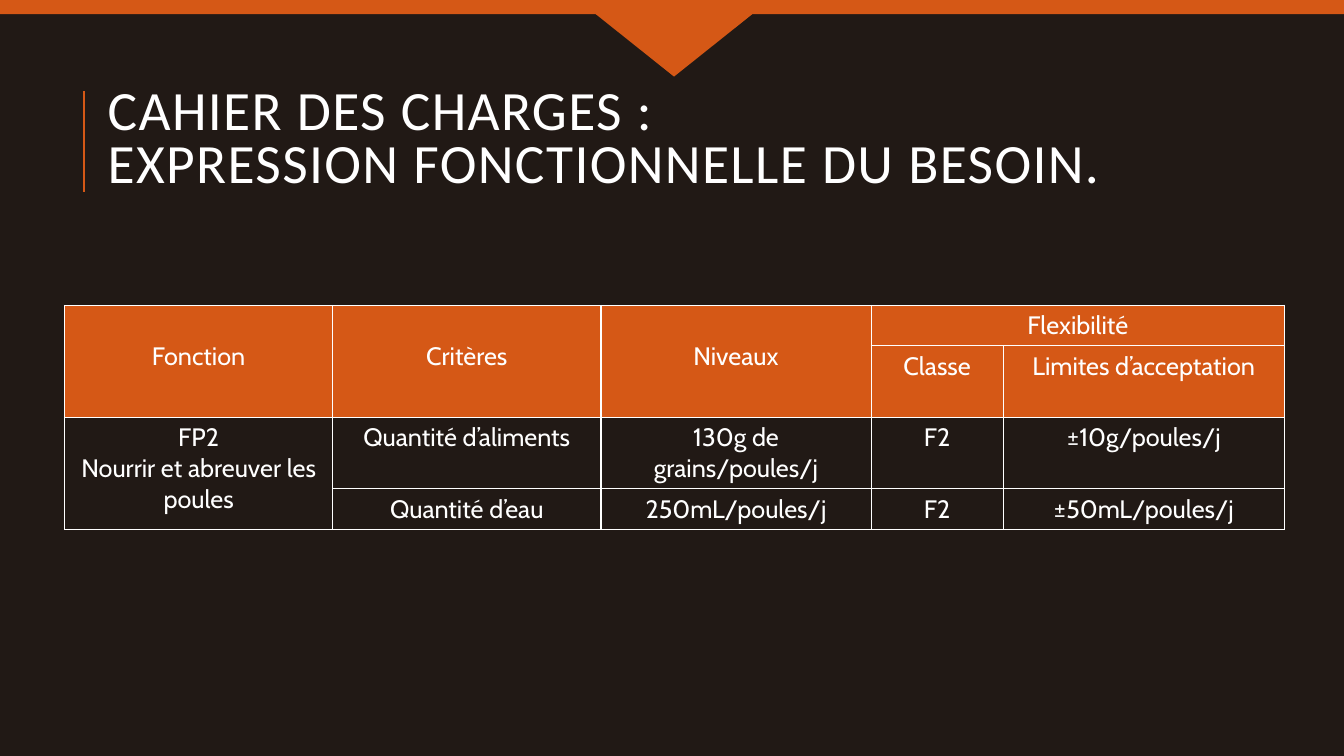
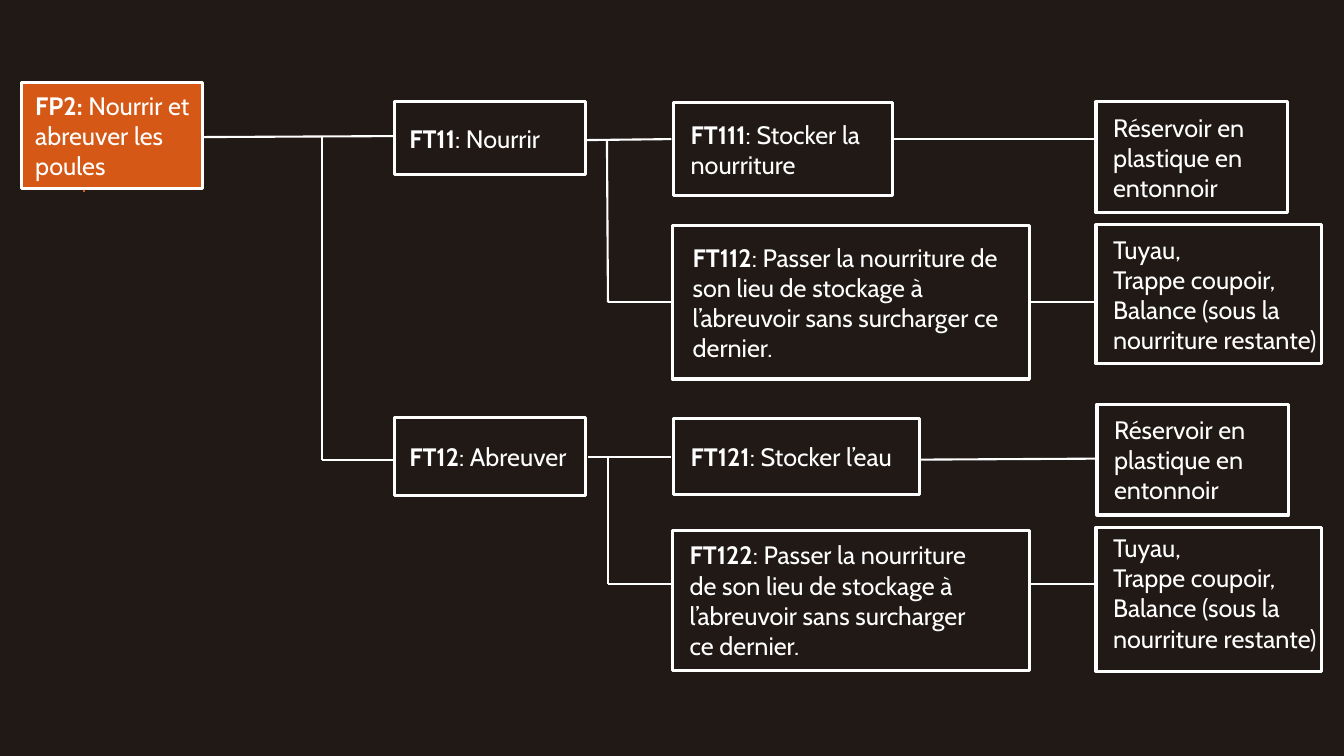
from lxml.etree import SubElement
from pptx import Presentation
from pptx.dml.color import RGBColor
from pptx.enum.shapes import MSO_CONNECTOR, MSO_SHAPE
from pptx.enum.text import MSO_ANCHOR, PP_ALIGN
from pptx.oxml.ns import qn
from pptx.util import Emu, Pt

COLORS = {"bg": "211915", "accent": "D55816", "text": "FFFFFF"}
EMU_PER_PX = 9144


def px(n):
    return Emu(n * EMU_PER_PX)


def rgb(name):
    return RGBColor.from_string(COLORS[name])


class Deck:
    """Holds the presentation, its style and the current slide."""

    def __init__(self, width, height):
        self.prs = Presentation()
        self.prs.slide_width, self.prs.slide_height = px(width), px(height)
        self.width = width
        self.s = None

    def slide(self):
        self.s = self.prs.slides.add_slide(self.prs.slide_layouts[6])
        fill = self.s.background.fill
        fill.solid()
        fill.fore_color.rgb = rgb("bg")
        self.line(83, 190, 83, 90, "accent")

    def style(self, p, size=18, font="Cabin"):
        p.font.size, p.font.name = Pt(size), font
        p.font.color.rgb = rgb("text")

    def paint(self, target, fill):
        if fill:
            target.fill.solid()
            target.fill.fore_color.rgb = rgb(fill)
        else:
            target.fill.background()

    def line(self, x1, y1, x2, y2, color="text"):
        sp = self.s.shapes.add_connector(
            MSO_CONNECTOR.STRAIGHT, px(x1), px(y1), px(x2), px(y2))
        sp.line.color.rgb = rgb(color)
        sp.line.width = Pt(1.5)
        SubElement(sp._element.spPr, qn("a:effectLst"))

    def shape(self, kind, x, y, w, h, fill=None, outline=None):
        sp = self.s.shapes.add_shape(kind, px(x), px(y), px(w), px(h))
        sp.shadow.inherit = False
        self.paint(sp, fill)
        if outline:
            sp.line.color.rgb = rgb(outline)
            sp.line.width = Pt(2.25)
        else:
            sp.line.fill.background()
        return sp

    def band(self):
        sp = self.shape(MSO_SHAPE.ISOSCELES_TRIANGLE, 582, 7, 173, 69, "accent")
        sp.rotation = 180
        self.shape(MSO_SHAPE.RECTANGLE, 0, 0, self.width, 14, "accent")

    def title(self, text):
        sp = self.s.shapes.add_textbox(px(97), px(58), px(1063), px(164))
        tf = sp.text_frame
        tf.word_wrap = True
        tf.vertical_anchor = MSO_ANCHOR.MIDDLE
        p = tf.paragraphs[0]
        p.text = text
        p.line_spacing = 0.8
        self.style(p, 39.6, "Calibri")
        p.font._rPr.set("spc", "100")

    def box(self, x, y, w, h, text, label="", fill=None, left=17, right=0, bottom=5):
        sp = self.shape(MSO_SHAPE.RECTANGLE, x, y, w, h, fill, "text")
        tf = sp.text_frame
        tf.word_wrap = True
        tf.vertical_anchor = MSO_ANCHOR.MIDDLE
        tf.margin_left, tf.margin_right = px(left), px(right)
        tf.margin_top, tf.margin_bottom = px(5), px(bottom)
        tf.text = text
        for p in tf.paragraphs:
            p.alignment = PP_ALIGN.LEFT
            self.style(p)
        if label:
            p = tf.paragraphs[0]
            p.clear()
            for part, bold in ((label, True), (text, False)):
                r = p.add_run()
                r.text, r.font.bold = part, bold

    def cell(self, cell, text, fill):
        tcPr = cell._tc.get_or_add_tcPr()
        for side in ("lnL", "lnR", "lnT", "lnB"):
            ln = SubElement(tcPr, qn(f"a:{side}"), w=str(Pt(1)))
            solid = SubElement(ln, qn("a:solidFill"))
            SubElement(solid, qn("a:srgbClr"), val=COLORS["text"])
        self.paint(cell, fill)
        cell.text = text
        for p in cell.text_frame.paragraphs:
            p.alignment = PP_ALIGN.CENTER
            self.style(p)

    def table(self, x, y, cols, rows, texts, merges, header_rows):
        frame = self.s.shapes.add_table(
            len(rows), len(cols), px(x), px(y), px(sum(cols)), px(sum(rows)))
        tbl = frame.table
        tbl.first_row = tbl.horz_banding = False
        for col, w in zip(tbl.columns, cols):
            col.width = px(w)
        for row, h in zip(tbl.rows, rows):
            row.height = px(h)
        for i, line in enumerate(texts):
            for j, text in enumerate(line):
                self.cell(tbl.cell(i, j), text, "accent" if i < header_rows else None)
        for first, last in merges:
            tbl.cell(*first).merge(tbl.cell(*last))
        return tbl


def requirements(deck):
    deck.slide()
    deck.title("CAHIER DES CHARGES :\vEXPRESSION FONCTIONNELLE DU BESOIN.")
    texts = [
        ["Fonction", "Critères", "Niveaux", "Flexibilité", ""],
        ["", "", "", "Classe", "Limites d’acceptation"],
        ["FP2\nNourrir et abreuver les poules", "Quantité d’aliments",
         "130g de grains/poules/j", "F2", "±10g/poules/j"],
        ["", "Quantité d’eau", "250mL/poules/j", "F2", "±50mL/poules/j"],
    ]
    merges = [((0, j), (1, j)) for j in range(3)]
    merges += [((0, 3), (0, 4)), ((2, 0), (3, 0))]
    tbl = deck.table(64, 303, [266, 266, 268, 131, 279], [40, 71, 71, 40],
                     texts, merges, header_rows=2)
    for j in range(3):
        tbl.cell(0, j).margin_top = px(35)
    deck.band()


def function_tree(deck):
    tank = "Réservoir en plastique en entonnoir"
    feeder = "Tuyau,\nTrappe coupoir, Balance (sous la nourriture restante)"
    transfer = (": Passer la nourriture de son lieu de stockage à "
                "l’abreuvoir sans surcharger ce dernier.")
    deck.slide()
    deck.box(21, 82, 180, 105, "Nourrir et abreuver les poules", "FP2: ",
             fill="accent", left=14)
    deck.box(391, 101, 190, 72, ": Nourrir", "FT11", left=15)
    deck.box(391, 414, 190, 78, ": Abreuver", "FT12", left=15)
    deck.box(668, 102, 217, 92, ": Stocker la nourriture", "FT111")
    deck.box(667, 224, 354, 152, transfer, "FT112", left=20)
    deck.box(668, 415, 244, 76, ": Stocker l’eau", "FT121")
    deck.box(667, 526, 354, 139, transfer, "FT122", right=34)
    deck.box(1087, 101, 190, 110, tank)
    deck.box(1087, 223, 224, 138, feeder)
    deck.box(1088, 401, 190, 110, tank)
    deck.box(1087, 523, 224, 143, feeder, bottom=18)
    for ends in (
        (201, 136, 391, 135), (319, 135, 319, 456), (319, 456, 391, 456),
        (581, 139, 666, 138), (602, 139, 603, 300), (603, 300, 668, 300),
        (583, 453, 666, 453), (603, 453, 603, 579), (603, 579, 667, 579),
        (886, 138, 1086, 138), (1021, 300, 1085, 300),
        (912, 456, 1087, 455), (1022, 579, 1088, 579),
    ):
        deck.line(*ends)


def main():
    deck = Deck(1333, 750)
    requirements(deck)
    function_tree(deck)
    deck.prs.save("out.pptx")


if __name__ == "__main__":
    main()
